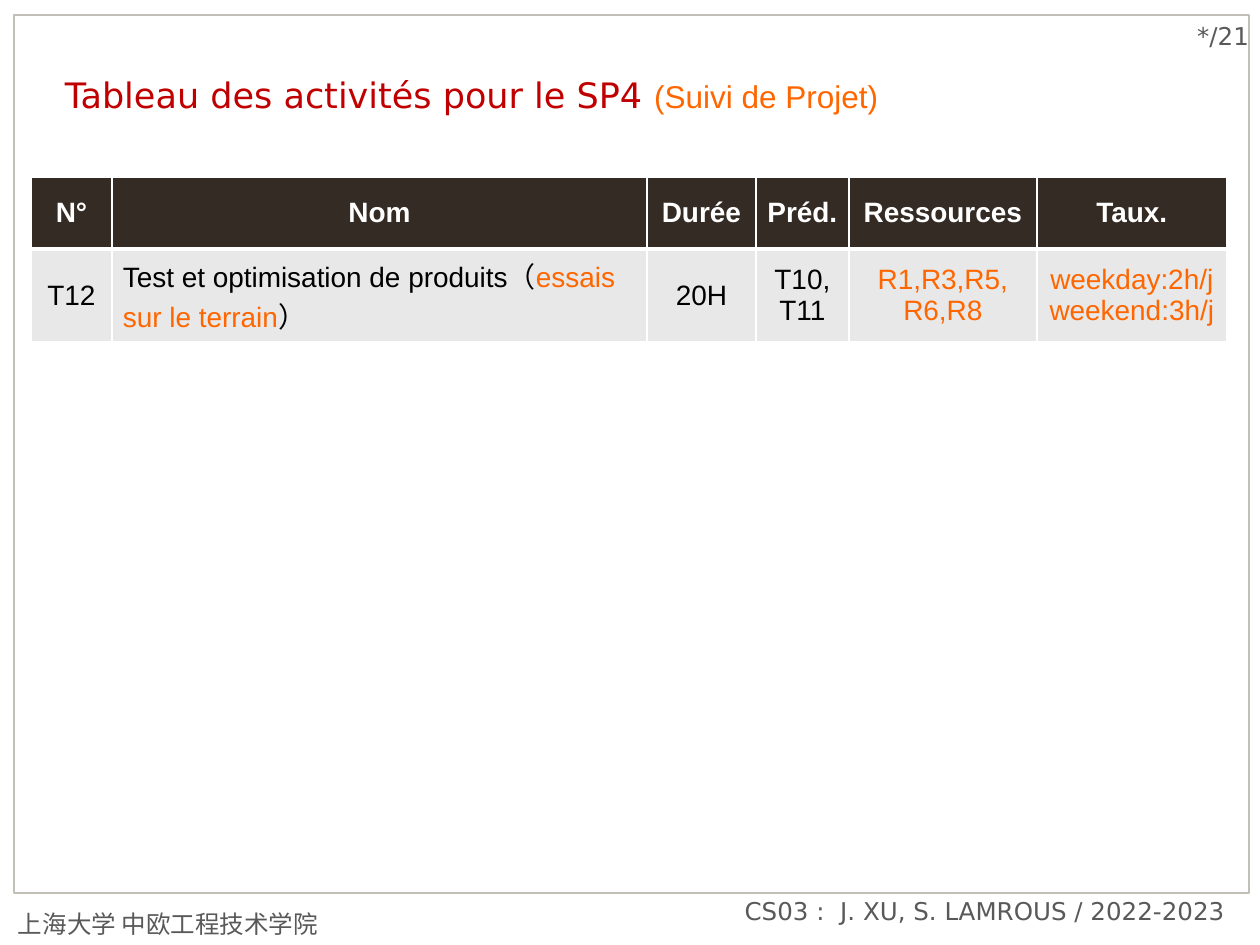
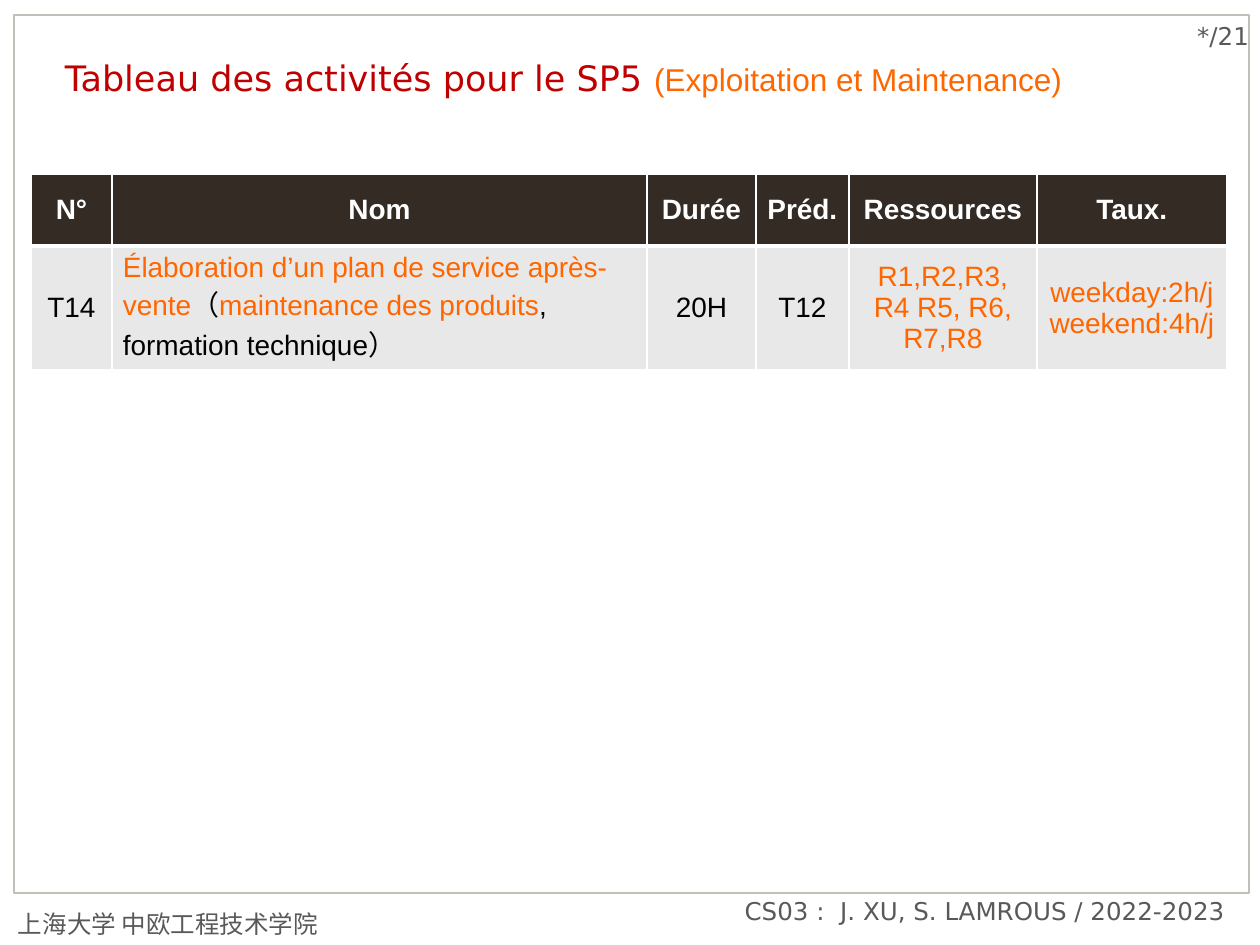
from lxml import etree
from pptx import Presentation
from pptx.dml.color import RGBColor
from pptx.enum.shapes import MSO_SHAPE
from pptx.enum.text import MSO_ANCHOR, PP_ALIGN
from pptx.oxml.ns import qn
from pptx.util import Emu, Pt

RECTANGLE = MSO_SHAPE.RECTANGLE
TOP, MIDDLE = MSO_ANCHOR.TOP, MSO_ANCHOR.MIDDLE
LEFT, CENTER, RIGHT = PP_ALIGN.LEFT, PP_ALIGN.CENTER, PP_ALIGN.RIGHT

PX_PER_INCH = 126
BLACK, WHITE, ORANGE, RED = "000000", "FFFFFF", "FF6600", "C00000"
GREY, FRAME, HEADER_FILL, ROW_FILL = "595959", "C2BFB8", "332B24", "E8E8E8"
SANS, ARIAL = "DejaVu Sans", "Arial"

HEADERS = ["N°", "Nom", "Durée", "Préd.", "Ressources", "Taux."]
COLUMN_WIDTHS = [81, 535, 109, 93, 188, 190]
HEADER_HEIGHT = 72

ACTIVITIES = [
    {
        "title": "Tableau des activités pour le SP4 ",
        "phase": "(Suivi de Projet)",
        "title_top": 66,
        "table_top": 177,
        "row_height": 93,
        "number": "T12",
        "name": [
            ("Test et optimisation de produits（", BLACK),
            ("essais sur le terrain", ORANGE),
            ("）", BLACK),
        ],
        "predecessors": "T10,T11",
        "resources": "R1,R3,R5, R6,R8",
        "rates": ["weekday:2h/j", "weekend:3h/j"],
    },
    {
        "title": "Tableau des activités pour le SP5 ",
        "phase": "(Exploitation et Maintenance)",
        "title_top": 49,
        "table_top": 174,
        "row_height": 124,
        "number": "T14",
        "name": [
            ("Élaboration d’un plan de service après-vente", ORANGE),
            ("（", BLACK),
            ("maintenance des produits", ORANGE),
            (", formation technique）", BLACK),
        ],
        "predecessors": "T12",
        "resources": "R1,R2,R3, R4 R5, R6, R7,R8",
        "rates": ["weekday:2h/j", "weekend:4h/j"],
    },
]


def px(length):
    return Emu(round(length * 914400 / PX_PER_INCH))


def color(value):
    return RGBColor.from_string(value)


def set_font(font, size, name, ink, bold=False):
    font.size = Pt(size)
    font.name = name
    font.bold = bold
    font.color.rgb = color(ink)


def write(frame, paragraphs, align=LEFT):
    for index, spans in enumerate(paragraphs):
        para = frame.add_paragraph() if index else frame.paragraphs[0]
        para.alignment = align
        if len(spans) == 1:
            set_font(para.font, *spans[0][1:])
        for text, *style in spans:
            span = para.add_run()
            span.text = text
            if len(spans) > 1:
                set_font(span.font, *style)


class ActivityDeck:
    def __init__(self):
        self.deck = Presentation()
        self.deck.slide_width = px(1260)
        self.deck.slide_height = px(945)
        self.page = None

    def add_page(self):
        self.page = self.deck.slides.add_slide(self.deck.slide_layouts[6])
        self.frame(14, 15, 1235, 878)
        self.label("*/21", 1108, 15, 141, 43, RIGHT, (15, 6, 0, 6))
        self.label("上海大学 中欧工程技术学院", 0, 903, 363, 28, LEFT, (18, 6, 12, 6))
        self.label("CS03 :  J. XU, S. LAMROUS / 2022-2023", 365, 890, 872, 83, RIGHT)

    def frame(self, left, top, width, height):
        border = self.page.shapes.add_shape(RECTANGLE, px(left), px(top), px(width), px(height))
        border.shadow.inherit = False
        border.fill.background()
        border.line.color.rgb = color(FRAME)
        border.line.width = Pt(1.5)

    def text(self, spans, left, top, width, height, align=LEFT, insets=(12, 6, 12, 6)):
        box = self.page.shapes.add_textbox(px(left), px(top), px(width), px(height))
        frame = box.text_frame
        frame.word_wrap = True
        frame.vertical_anchor = TOP
        frame.margin_left, frame.margin_top, frame.margin_right, frame.margin_bottom = map(px, insets)
        write(frame, [spans], align)

    def label(self, text, left, top, width, height, align, insets=(12, 6, 12, 6)):
        self.text([(text, 14, SANS, GREY)], left, top, width, height, align, insets)

    def title(self, title, phase, top):
        spans = [(title, 20, SANS, RED), (phase, 18, ARIAL, ORANGE)]
        self.text(spans, 53, top, 1131, 721, insets=(12, 8, 12, 6))

    def cell(self, cell, paragraphs, fill, align, top_line, bottom_line):
        properties = cell._tc.get_or_add_tcPr()
        for side, width in (("L", 1), ("R", 1), ("T", top_line), ("B", bottom_line)):
            line = etree.SubElement(properties, qn(f"a:ln{side}"), w=str(Pt(width)))
            solid = etree.SubElement(line, qn("a:solidFill"))
            etree.SubElement(solid, qn("a:srgbClr"), val=WHITE)
        cell.fill.solid()
        cell.fill.fore_color.rgb = color(fill)
        cell.vertical_anchor = MIDDLE
        cell.margin_left = cell.margin_right = px(11)
        cell.margin_top = cell.margin_bottom = px(6)
        write(cell.text_frame, paragraphs, align)

    def table(self, activity):
        heights = [HEADER_HEIGHT, activity["row_height"]]
        table = self.page.shapes.add_table(
            2, len(HEADERS), px(31), px(activity["table_top"]),
            px(sum(COLUMN_WIDTHS)), px(sum(heights)),
        ).table
        for column, width in zip(table.columns, COLUMN_WIDTHS):
            column.width = px(width)
        for row, height in zip(table.rows, heights):
            row.height = px(height)
        values = [
            [[(activity["number"], BLACK)]],
            [activity["name"]],
            [[("20H", BLACK)]],
            [[(activity["predecessors"], BLACK)]],
            [[(activity["resources"], ORANGE)]],
            [[(rate, ORANGE)] for rate in activity["rates"]],
        ]
        for column, (header, value) in enumerate(zip(HEADERS, values)):
            heading = [[(header, 16, ARIAL, WHITE, True)]]
            self.cell(table.cell(0, column), heading, HEADER_FILL, CENTER, 1, 3)
            body = [[(text, 16, ARIAL, ink) for text, ink in spans] for spans in value]
            align = LEFT if header == "Nom" else CENTER
            self.cell(table.cell(1, column), body, ROW_FILL, align, 3, 1)


def main():
    builder = ActivityDeck()
    for activity in ACTIVITIES:
        builder.add_page()
        builder.title(activity["title"], activity["phase"], activity["title_top"])
        builder.table(activity)
    builder.deck.save("out.pptx")


if __name__ == "__main__":
    main()
